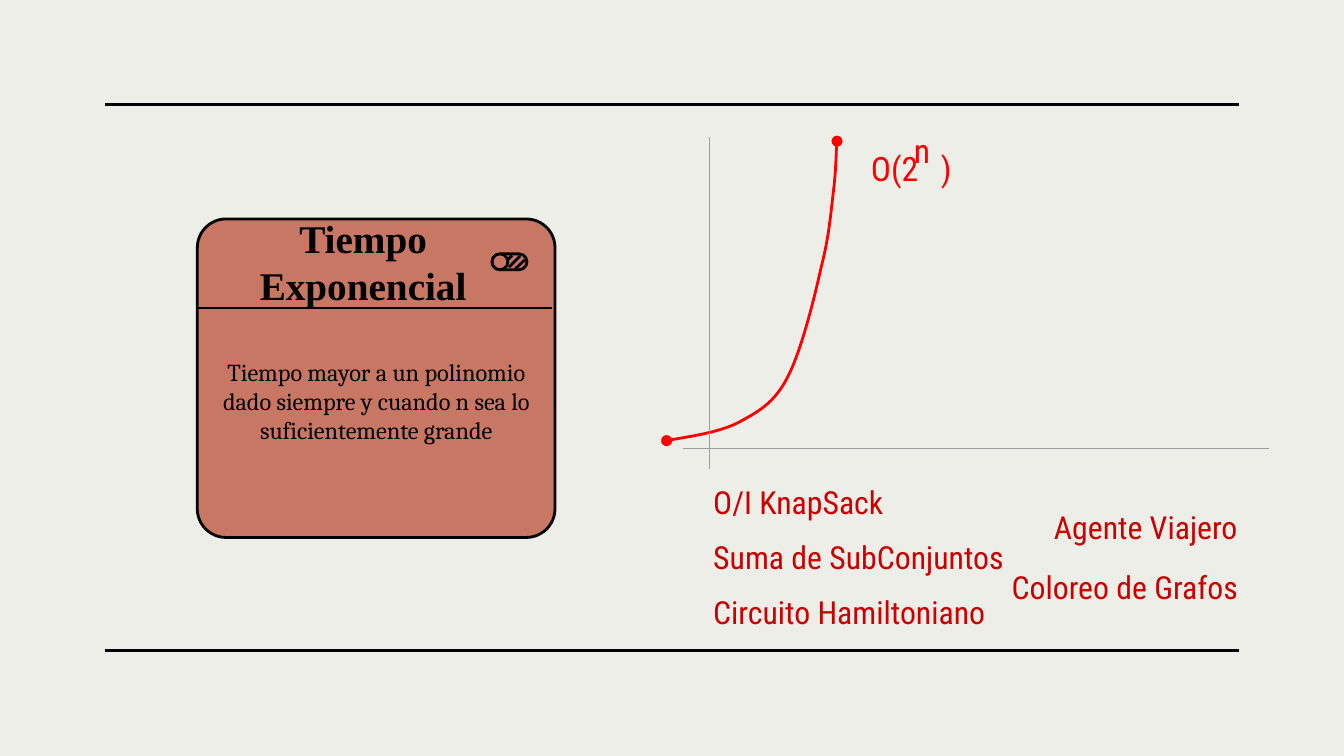
from dataclasses import dataclass

from lxml.etree import SubElement
from pptx import Presentation
from pptx.dml.color import RGBColor
from pptx.enum.shapes import MSO_CONNECTOR, MSO_SHAPE
from pptx.enum.text import MSO_ANCHOR, PP_ALIGN
from pptx.oxml.ns import qn
from pptx.util import Cm, Pt

COLORS = {
    "paper": "EEEEE9",
    "ink": "000000",
    "card": "C77763",
    "label": "CC0000",
    "curve": "FF0000",
    "axis": "9E9E9E",
}
ROBOTO = "Roboto Condensed"


@dataclass
class Rule:
    x1: float
    y1: float
    x2: float
    y2: float
    color: str = "ink"
    width: float = 1.5


@dataclass
class Label:
    runs: tuple[str, ...]
    left: float
    top: float
    width: float
    height: float = 0.33
    size: int = 17
    color: str = "label"
    font: str = ROBOTO
    align: PP_ALIGN = PP_ALIGN.LEFT
    bold: bool = False
    after: int = 0


FRAME = [Rule(1.98, y, 23.42, y) for y in (1.98, 12.29)]
AXES = [
    Rule(12.9, 8.48, 23.98, 8.48, "axis", 0.75),
    Rule(13.41, 2.59, 13.41, 8.86, "axis", 0.75),
]
SPLIT = Rule(3.73, 5.82, 10.44, 5.82)
STRIPES = [
    Rule(9.61, 4.9, 9.68, 4.83),
    Rule(9.62, 5.05, 9.83, 4.84),
    Rule(9.74, 5.08, 9.92, 4.91),
]
LEFT = [("O/I KnapSack", 4.24), ("Suma de SubConjuntos", 6.55),
        ("Circuito Hamiltoniano", 7.44)]
CASES = [
    Label((text,), 13.23, 9.32 + 1.04 * row, width)
    for row, (text, width) in enumerate(LEFT)
] + [
    Label(("Agente Viajero",), 13.23, 9.8, 10.41, align=PP_ALIGN.RIGHT),
    Label(("Coloreo de Grafos",), 17.96, 10.92, 5.69, align=PP_ALIGN.RIGHT),
]
TITLE = Label(("Tiempo Exponencial",), 4.45, 4.39, 4.83, 1.09, 21, "ink",
              "Times New Roman", PP_ALIGN.CENTER, True)
BODY = Label(("Tiempo mayor a un polinomio dado siempre y cuando n sea lo "
              "suficientemente grande",), 3.91, 6.32, 6.4, 2.51, 13, "ink",
             "Cambria", PP_ALIGN.CENTER, after=16)
ORDER = Label(("O(2", " ", ")"), 16.21, 3.02, 2.92, size=18, color="curve")
POWER = Label(("n",), 17.02, 2.67, 0.71, size=18, color="curve")
CURVE = [
    (12.6, 8.33), (12.83, 8.28), (13.59, 8.18), (13.97, 7.98),
    (14.35, 7.77), (14.63, 7.62), (14.88, 7.14), (15.14, 6.65),
    (15.39, 5.64), (15.52, 5.05), (15.67, 4.47), (15.7, 4.04),
    (15.75, 3.63), (15.8, 3.23), (15.8, 2.82), (15.82, 2.67),
]


def tint(name: str) -> RGBColor:
    return RGBColor.from_string(COLORS[name])


def stroke(item, color: str, width: float) -> None:
    item.line.color.rgb = tint(color)
    item.line.width = Pt(width)


def draw_rule(slide, rule: Rule) -> None:
    line = slide.shapes.add_connector(
        MSO_CONNECTOR.STRAIGHT,
        Cm(rule.x1), Cm(rule.y1), Cm(rule.x2), Cm(rule.y2))
    stroke(line, rule.color, rule.width)
    SubElement(line._element.spPr, qn("a:effectLst"))


def draw_label(slide, label: Label) -> None:
    box = slide.shapes.add_textbox(
        Cm(label.left), Cm(label.top), Cm(label.width), Cm(label.height))
    frame = box.text_frame
    frame.word_wrap = True
    frame.vertical_anchor = MSO_ANCHOR.MIDDLE
    frame.margin_left = frame.margin_right = Cm(0.25)
    frame.margin_top = frame.margin_bottom = Cm(0.25)
    para = frame.paragraphs[0]
    para.alignment = label.align
    para.space_after = Pt(label.after)
    for text in label.runs:
        run = para.add_run()
        run.text = text
        font = run.font
        font.name = label.font
        font.size = Pt(label.size)
        font.bold = label.bold
        font.color.rgb = tint(label.color)
        if text == " ":
            run._r.get_or_add_rPr().set("spc", "800")


def draw_shape(slide, kind: MSO_SHAPE, left: float, top: float,
               width: float, height: float, fill: str, round_by: float = 0):
    shape = slide.shapes.add_shape(
        kind, Cm(left), Cm(top), Cm(width), Cm(height))
    shape.shadow.inherit = False
    shape.fill.solid()
    shape.fill.fore_color.rgb = tint(fill)
    stroke(shape, "ink", 1.5)
    if round_by:
        shape.adjustments[0] = round_by


def draw_curve(slide, points: list[tuple[float, float]]) -> None:
    spots = [(Cm(x), Cm(y)) for x, y in points]
    pen = slide.shapes.build_freeform(*spots[0])
    pen.add_line_segments(spots[1:], close=False)
    curve = pen.convert_to_shape()
    curve.shadow.inherit = False
    curve.fill.background()
    stroke(curve, "curve", 1.5)
    trace = next(curve._element.iter(qn("a:path")))
    steps = trace.findall(qn("a:lnTo"))
    for start in range(0, len(steps), 3):
        bend = SubElement(trace, qn("a:cubicBezTo"))
        for step in steps[start:start + 3]:
            bend.append(step[0])
            trace.remove(step)
    for end in ("a:headEnd", "a:tailEnd"):
        SubElement(curve.line._get_or_add_ln(), qn(end), type="oval")


def main() -> None:
    deck = Presentation()
    deck.slide_width, deck.slide_height = Cm(25.4), Cm(14.29)
    slide = deck.slides.add_slide(deck.slide_layouts[6])
    slide.background.fill.solid()
    slide.background.fill.fore_color.rgb = tint("paper")

    for rule in FRAME:
        draw_rule(slide, rule)
    for label in CASES:
        draw_label(slide, label)

    draw_shape(slide, MSO_SHAPE.ROUNDED_RECTANGLE,
               3.73, 4.14, 6.76, 6.02, "card", 0.09)
    draw_rule(slide, SPLIT)
    draw_label(slide, TITLE)
    draw_label(slide, BODY)

    draw_shape(slide, MSO_SHAPE.ROUNDED_RECTANGLE,
               9.3, 4.8, 0.66, 0.3, "card", 0.5)
    for rule in STRIPES:
        draw_rule(slide, rule)
    draw_shape(slide, MSO_SHAPE.OVAL, 9.3, 4.8, 0.3, 0.3, "card")

    draw_curve(slide, CURVE)
    for rule in AXES:
        draw_rule(slide, rule)
    draw_label(slide, ORDER)
    draw_label(slide, POWER)
    deck.save("out.pptx")


if __name__ == "__main__":
    main()
